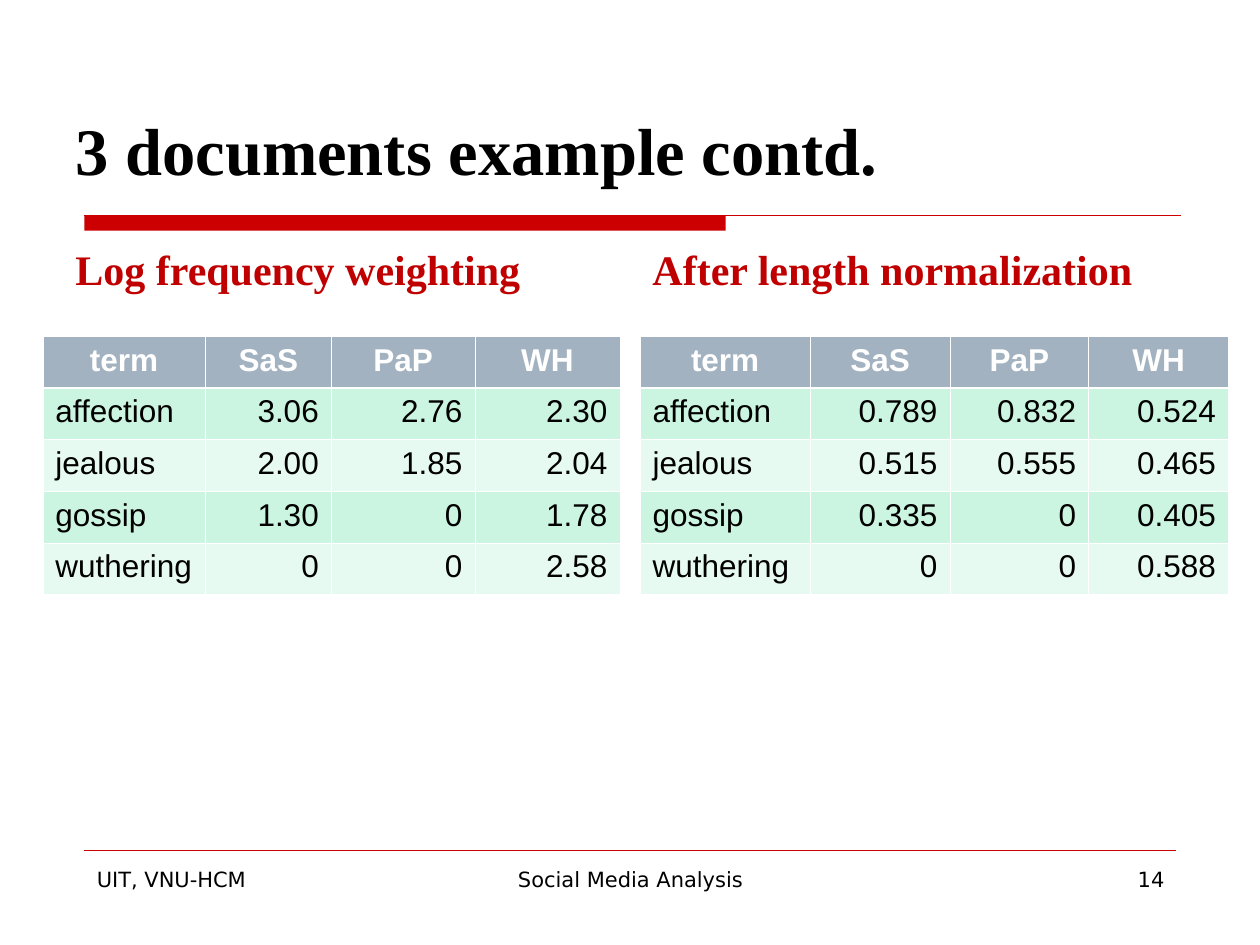
from dataclasses import dataclass

from lxml.etree import SubElement as Sub
from pptx import Presentation
from pptx.dml.color import RGBColor as Rgb
from pptx.enum.shapes import MSO_CONNECTOR as Conn, MSO_SHAPE as Kind
from pptx.enum.text import MSO_ANCHOR as Anchor, PP_ALIGN as Align
from pptx.oxml.ns import qn
from pptx.util import Inches, Pt


@dataclass(frozen=True)
class Theme:
    ink: str = "000000"
    white: str = "FFFFFF"
    red: str = "CC0000"
    deep: str = "C00000"
    head: str = "A3B2C1"
    bands: tuple = ("CBF5E1", "E7FAF1")
    serif: str = "Times New Roman"
    sans: str = "Arial"
    foot: str = "DejaVu Sans"
    title: int = 38
    sub: int = 24
    cell: int = 18
    small: int = 12
    thin: float = 0.45
    thick: float = 1.47


class Deck:
    """Holds the theme and the current slide, and draws each kind of element."""

    def __init__(self, theme):
        self.theme = theme
        self.prs = Presentation()
        self.prs.slide_width, self.prs.slide_height = Inches(10), Inches(7.5)
        self.slide = self.prs.slides.add_slide(self.prs.slide_layouts[6])

    def style(self, frame, face, size, tint, bold=False, align=Align.LEFT):
        for para in frame.paragraphs:
            para.alignment = align
            for run in para.runs:
                font = run.font
                font.name, font.size, font.bold = face, Pt(size), bold
                font.color.rgb = Rgb.from_string(tint)

    def text(self, words, box, *look, anchor=Anchor.TOP, **more):
        frame = self.slide.shapes.add_textbox(*map(Inches, box)).text_frame
        frame.word_wrap = True
        frame.vertical_anchor = anchor
        frame.text = words
        self.style(frame, *look, **more)

    def bar(self, box, tint):
        shape = self.slide.shapes.add_shape(Kind.RECTANGLE, *map(Inches, box))
        shape.shadow.inherit = False
        shape.fill.solid()
        shape.fill.fore_color.rgb = Rgb.from_string(tint)
        shape.line.fill.background()

    def rule(self, left, right, top, tint, width):
        ends = map(Inches, (left, top, right, top))
        line = self.slide.shapes.add_connector(Conn.STRAIGHT, *ends)
        line.line.color.rgb = Rgb.from_string(tint)
        line.line.width = Pt(width)
        Sub(line._element.spPr, qn("a:effectLst"))

    def edge(self, cell, side, width):
        props = cell._tc.get_or_add_tcPr()
        line = Sub(props, qn(f"a:ln{side}"), w=str(Pt(width)))
        fill = Sub(line, qn("a:solidFill"))
        Sub(fill, qn("a:srgbClr"), val=self.theme.white)

    def table(self, rows, left, top, widths, height):
        look = self.theme
        size = (left, top, sum(widths), height * len(rows))
        grid = self.slide.shapes.add_table(
            len(rows), len(widths), *map(Inches, size)).table
        for col, width in zip(grid.columns, widths):
            col.width = Inches(width)
        for i, row in enumerate(rows):
            grid.rows[i].height = Inches(height)
            for j, words in enumerate(row):
                self.fill_cell(grid.cell(i, j), words, i, j, look)

    def fill_cell(self, cell, words, i, j, look):
        first = i == 0
        cell.text = words
        align = Align.CENTER if first else Align.RIGHT if j else Align.LEFT
        self.style(cell.text_frame, look.sans, look.cell,
                   look.white if first else look.ink, first, align)
        heavy = {0: "B", 1: "T"}.get(i)
        for side in "LRTB":
            self.edge(cell, side, look.thick if side == heavy else look.thin)
        cell.fill.solid()
        tint = look.head if first else look.bands[(i - 1) % 2]
        cell.fill.fore_color.rgb = Rgb.from_string(tint)


HEAD = ("term", "SaS", "PaP", "WH")
TERMS = ("affection", "jealous", "gossip", "wuthering")
PARTS = (
    ("Log frequency weighting", 0.5, 0.34, (1.29, 1, 1.14, 1.15),
     (("3.06", "2.76", "2.30"), ("2.00", "1.85", "2.04"),
      ("1.30", "0", "1.78"), ("0", "0", "2.58"))),
    ("After length normalization", 5.08, 5.08, (1.35, 1.11, 1.1, 1.11),
     (("0.789", "0.832", "0.524"), ("0.515", "0.555", "0.465"),
      ("0.335", "0", "0.405"), ("0", "0", "0.588"))),
)
FOOT = (
    ("UIT, VNU-HCM", 0.67, 2.17, Align.LEFT),
    ("Social Media Analysis", 3.42, 3.17, Align.CENTER),
    ("14", 7.17, 2.17, Align.RIGHT),
)


def main():
    look = Theme()
    deck = Deck(look)
    deck.bar((0.67, 1.71, 5.09, 0.12), look.red)
    deck.rule(0.67, 9.37, 1.71, look.red, 0.75)
    deck.rule(0.67, 9.33, 6.75, look.red, 0.25)
    deck.text("3 documents example contd.", (0.5, 0.3, 9, 1.25), look.serif,
              look.title, look.ink, True, anchor=Anchor.BOTTOM)
    for name, left, edge, widths, data in PARTS:
        deck.text(name, (left, 1.68, 4.42, 0.7), look.serif, look.sub,
                  look.deep, True, anchor=Anchor.BOTTOM)
        rows = [HEAD] + [(term, *vals) for term, vals in zip(TERMS, data)]
        deck.table(rows, edge, 2.67, widths, 0.41)
    for words, left, width, align in FOOT:
        deck.text(words, (left, 6.83, width, 0.52), look.foot, look.small,
                  look.ink, align=align)
    deck.prs.save("out.pptx")


if __name__ == "__main__":
    main()
